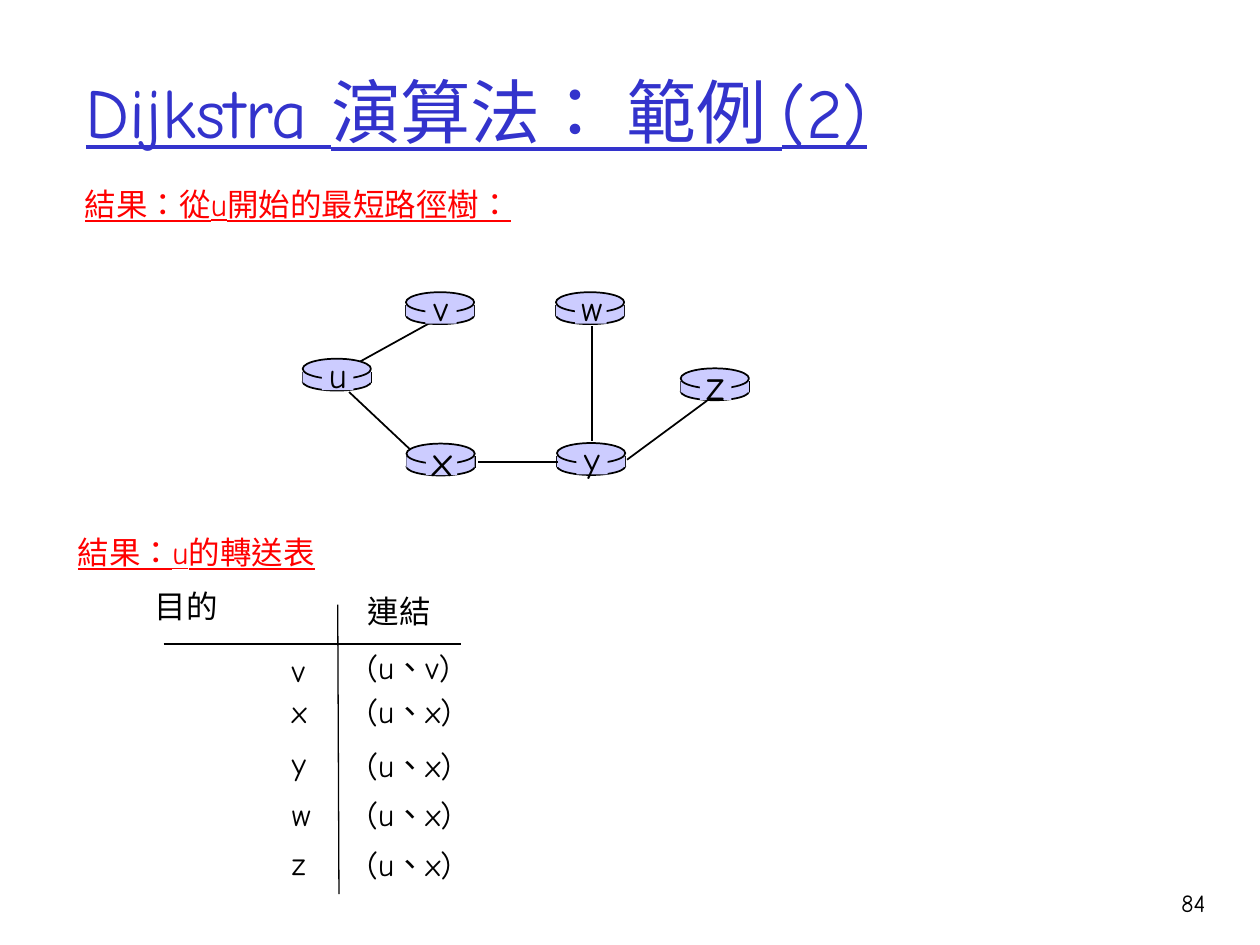
from dataclasses import dataclass

from lxml.etree import SubElement
from pptx import Presentation
from pptx.dml.color import RGBColor as RGB
from pptx.enum.lang import MSO_LANGUAGE_ID as LANG
from pptx.enum.shapes import MSO_CONNECTOR as CONN, MSO_SHAPE as SHAPE
from pptx.enum.text import MSO_ANCHOR as ANCHOR, MSO_AUTO_SIZE as FIT, PP_ALIGN as ALIGN
from pptx.oxml.ns import qn
from pptx.util import Pt


@dataclass(frozen=True)
class Theme:
    font: str = "Comic Neue"
    title: RGB = RGB(0x33, 0x33, 0xCC)
    heading: RGB = RGB(0xFF, 0, 0)
    ink: RGB = RGB(0, 0, 0)
    router: RGB = RGB(0xCC, 0xCC, 0xFF)
    title_size: int = 40
    big_node_size: int = 24
    node_size: int = 20
    body_size: int = 18
    number_size: int = 14


class Canvas:
    def __init__(self, slide, theme):
        self.s = slide
        self.t = theme

    def text(self, words, x, y, w, h, size, color=None, align=ALIGN.LEFT,
             underline=False, wrap=False, anchor=ANCHOR.TOP):
        tf = self.s.shapes.add_textbox(Pt(x), Pt(y), Pt(w), Pt(h)).text_frame
        tf.word_wrap = wrap
        tf.auto_size = FIT.NONE if wrap else FIT.SHAPE_TO_FIT_TEXT
        tf.vertical_anchor = anchor
        p = tf.paragraphs[0]
        p.alignment = align
        r = p.add_run()
        r.text = words
        r.font.name = self.t.font
        r.font.size = Pt(size)
        r.font.color.rgb = color or self.t.ink
        r.font.language_id = LANG.TRADITIONAL_CHINESE
        if underline:
            r.font.underline = True

    def body(self, words, x, y, w):
        self.text(words, x, y, w, 29, self.t.body_size)

    def heading(self, words, x, y, w):
        self.text(words, x, y, w, 29, self.t.body_size, self.t.heading, underline=True)

    def line(self, x1, y1, x2, y2, width=1):
        c = self.s.shapes.add_connector(CONN.STRAIGHT, Pt(x1), Pt(y1), Pt(x2), Pt(y2))
        c.line.color.rgb = self.t.ink
        c.line.width = Pt(width)
        SubElement(c._element.spPr, qn("a:effectLst"))

    def shape(self, kind, x, y, w, h, outlined=False):
        sp = self.s.shapes.add_shape(kind, Pt(x), Pt(y), Pt(w), Pt(h))
        sp.shadow.inherit = False
        sp.fill.solid()
        sp.fill.fore_color.rgb = self.t.router
        if outlined:
            sp.line.color.rgb = self.t.ink
            sp.line.width = Pt(1)
        else:
            sp.line.fill.background()

    def router(self, x, y):
        w, side_top, side_h = 39, y + 7.3, 6.4
        self.shape(SHAPE.OVAL, x, y + 8.2, w, 10, outlined=True)
        for edge in (x, x + w):
            self.line(edge, side_top, edge, side_top + side_h)
        self.shape(SHAPE.RECTANGLE, x, side_top, w, side_h)
        self.shape(SHAPE.OVAL, x, y, w, 11.5, outlined=True)

    def router_label(self, name, x, y, size):
        self.shape(SHAPE.RECTANGLE, x + 11, y + 1.5, 18, 16.5)
        w, h = 25, size * 1.22 + 7.2
        self.text(name, x + 20 - w / 2, y + 9.2 - h / 2, w, h, size, align=ALIGN.CENTER)


def main():
    t = Theme()
    prs = Presentation()
    prs.slide_width, prs.slide_height = Pt(720), Pt(540)
    c = Canvas(prs.slides.add_slide(prs.slide_layouts[6]), t)

    c.text("Dijkstra 演算法： 範例 (2)", 42, 18, 612, 90, t.title_size, t.title,
           underline=True, wrap=True, anchor=ANCHOR.MIDDLE)

    routers = {
        "u": (173, 205, t.node_size),
        "y": (318.3, 253.2, t.node_size),
        "x": (232.3, 253.5, t.big_node_size),
        "w": (317.7, 167, t.node_size),
        "v": (232, 167, t.node_size),
        "z": (389, 210.5, t.big_node_size),
    }
    c.line(206, 206.5, 248.5, 183)
    for x, y, _ in routers.values():
        c.router(x, y)
    links = [
        (338.2, 186.5, 338.2, 252),
        (358.3, 262.7, 404, 229),
        (319, 264, 273, 264),
        (234, 256.5, 199.5, 224),
    ]
    for link in links:
        c.line(*link)
    for name, place in routers.items():
        c.router_label(name, *place)

    c.heading("結果：從u開始的最短路徑樹：", 41.5, 102, 266)

    c.line(193, 345.5, 193.7, 511, 0.75)
    c.line(93.5, 368, 263.5, 368, 0.75)
    rows = [
        ("v", "(u、v)", 368.5, 366.5),
        ("x", "(u、x)", 391.7, 391.7),
        ("y", "(u、x)", 421.5, 423),
        ("w", "(u、x)", 450.7, 450.7),
        ("z", "(u、x)", 479, 479.5),
    ]
    for target, link, target_y, link_y in rows:
        c.body(target, 159.7, target_y, 23)
        c.body(link, 202.7, link_y, 71)
    c.body("目的", 81.5, 332, 50.5)
    c.body("連結", 203, 335, 50.5)

    c.heading("結果：u的轉送表", 37.5, 301, 158)
    c.text("84", 643, 504, 53, 36, t.number_size, align=ALIGN.RIGHT, wrap=True)

    prs.save("out.pptx")


if __name__ == "__main__":
    main()
